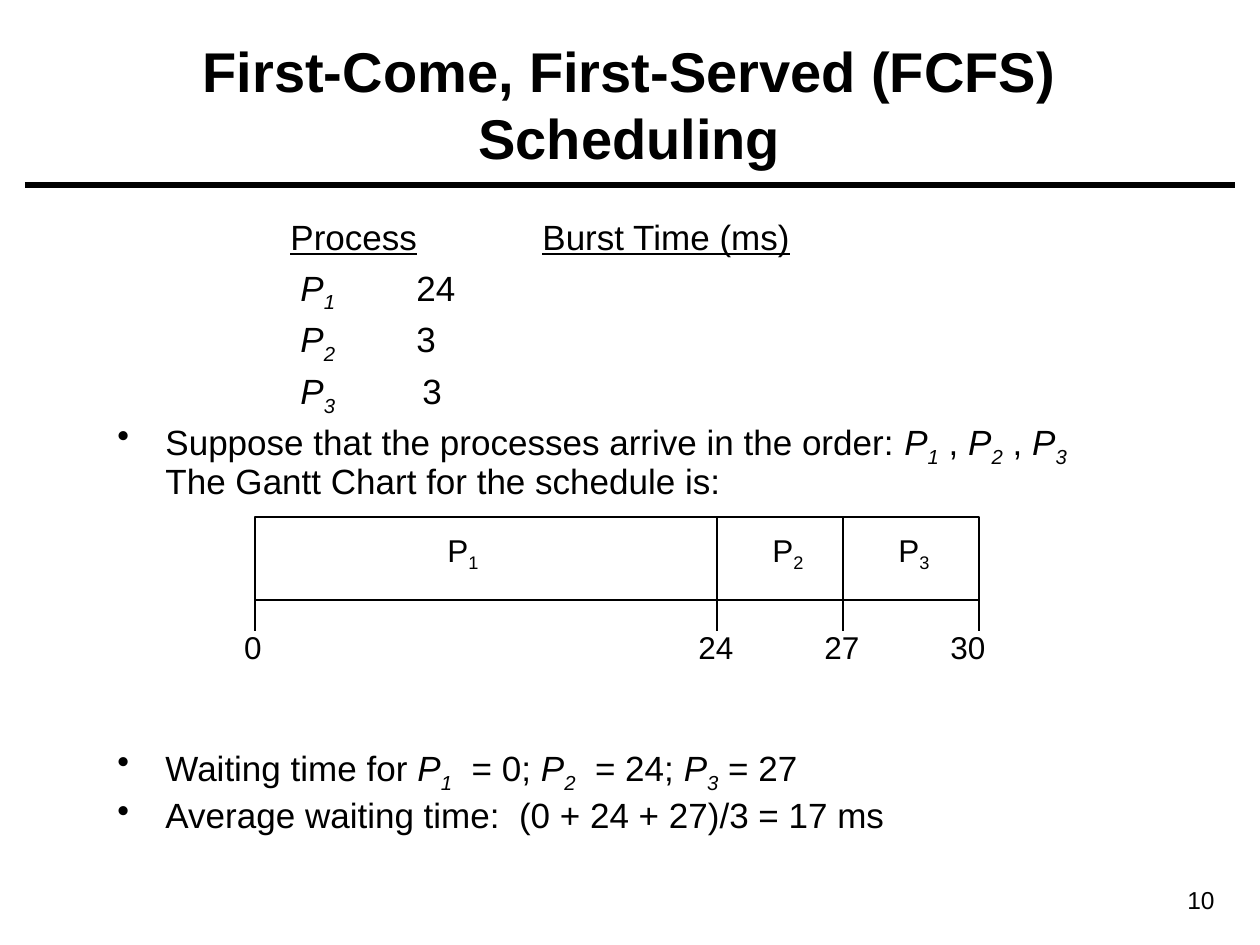
from dataclasses import dataclass

from lxml import etree
from pptx import Presentation
from pptx.dml.color import RGBColor
from pptx.enum.shapes import MSO_CONNECTOR, MSO_SHAPE
from pptx.enum.text import MSO_ANCHOR, PP_ALIGN
from pptx.oxml.ns import qn
from pptx.util import Emu, Pt

EMU_PER_PX = 914400 / 126
BLACK, WHITE = "000000", "FFFFFF"
FONT = "Arial"
LEFT, CENTER, RIGHT = PP_ALIGN.LEFT, PP_ALIGN.CENTER, PP_ALIGN.RIGHT
TOP, MIDDLE = MSO_ANCHOR.TOP, MSO_ANCHOR.MIDDLE
STRAIGHT, RECTANGLE = MSO_CONNECTOR.STRAIGHT, MSO_SHAPE.RECTANGLE
BAR_TOP, BAR_BOTTOM, TICK_END = 517, 600, 631
HANGING_INDENT = 48


@dataclass(frozen=True)
class Span:
    text: str
    italic: bool = False
    underline: bool = False
    bold: bool = False
    subscript: bool = False


@dataclass(frozen=True)
class Line:
    spans: tuple[Span, ...]
    tabs: tuple[int, ...] = ()
    bullet: bool = False
    space_before: float = 0


@dataclass(frozen=True)
class Job:
    number: str
    burst: str
    burst_tab: int
    label_center: int


@dataclass(frozen=True)
class Tick:
    time: str
    x: int
    label_center: int


JOBS = (Job("1", "24", 299, 463), Job("2", "3", 299, 788), Job("3", "3", 305, 914))
TICKS = (Tick("0", 255, 253), Tick("24", 717, 716), Tick("27", 843, 842), Tick("30", 979, 968))


def px(length: int) -> Emu:
    """Turn pixels into EMU."""
    return Emu(round(length * EMU_PER_PX))


def color(value: str) -> RGBColor:
    """Turn a hex string into a colour."""
    return RGBColor.from_string(value)


def process_name(number: str, italic: bool = True) -> tuple[Span, Span]:
    """Return the spans of a process name with its subscript."""
    return Span("P", italic=italic), Span(number, italic=italic, subscript=True)


def add_span(paragraph, span: Span, size: int) -> None:
    """Add one formatted run to a paragraph."""
    run = paragraph.add_run()
    run.text = span.text
    font = run.font
    font.name, font.size = FONT, Pt(size)
    font.bold, font.italic, font.underline = span.bold, span.italic, span.underline
    font.color.rgb = color(BLACK)
    if span.subscript:
        run._r.get_or_add_rPr().set("baseline", "-25000")


def set_bullet(paragraph) -> None:
    """Give a paragraph a black bullet with a hanging indent."""
    properties = paragraph._p.get_or_add_pPr()
    properties.set("marL", str(px(HANGING_INDENT)))
    properties.set("indent", str(-px(HANGING_INDENT)))
    bullet_color = etree.SubElement(properties, qn("a:buClr"))
    etree.SubElement(bullet_color, qn("a:srgbClr"), val=BLACK)
    etree.SubElement(properties, qn("a:buChar"), char="•")


def set_tabs(paragraph, positions: tuple[int, ...]) -> None:
    """Give a paragraph left tab stops."""
    tab_list = etree.SubElement(paragraph._p.get_or_add_pPr(), qn("a:tabLst"))
    for position in positions:
        etree.SubElement(tab_list, qn("a:tab"), pos=str(px(position)), algn="l")


def add_text(slide, box: tuple[int, int, int, int], lines: tuple[Line, ...], size: int,
             align=CENTER, anchor=MIDDLE, wrap: bool = True, spacing: float = 1.0) -> None:
    """Add a text box holding the given lines."""
    frame = slide.shapes.add_textbox(*map(px, box)).text_frame
    frame.word_wrap = wrap
    frame.vertical_anchor = anchor
    for index, line in enumerate(lines):
        paragraph = frame.add_paragraph() if index else frame.paragraphs[0]
        paragraph.alignment = align
        paragraph.line_spacing = spacing
        paragraph.space_before = Pt(line.space_before)
        if line.bullet:
            set_bullet(paragraph)
        if line.tabs:
            set_tabs(paragraph, line.tabs)
        for span in line.spans:
            if span.text == "\n":
                paragraph.add_line_break()
            else:
                add_span(paragraph, span, size)


def add_line(slide, start: tuple[int, int], end: tuple[int, int], width: float) -> None:
    """Add a straight black line."""
    connector = slide.shapes.add_connector(STRAIGHT, *map(px, start + end))
    connector.line.color.rgb = color(BLACK)
    connector.line.width = Pt(width)
    etree.SubElement(connector._element.spPr, qn("a:effectLst"))


def add_body(slide) -> None:
    """Add the process list and the bullets."""
    first, second, third = (process_name(job.number) for job in JOBS)
    heading = Line((Span("\t"), Span("Process", underline=True), Span("\t"),
                    Span("Burst Time (ms)", underline=True)), tabs=(173, 425))
    rows = tuple(
        Line((Span("\t"), *process_name(job.number), Span("\t"), Span(job.burst)),
             tabs=(183, job.burst_tab), space_before=5)
        for job in JOBS
    )
    order = Line((Span("Suppose that the processes arrive in the order: "), *first, Span(" , "),
                  *second, Span(" , "), *third, Span("\n"),
                  Span("The Gantt Chart for the schedule is:")), bullet=True, space_before=4.5)
    waiting = Line((Span("Waiting time for "), *first, Span("  = 0; "), *second,
                    Span("  = 24; "), *third, Span(" = 27")), bullet=True, space_before=140)
    average = Line((Span("Average waiting time:  (0 + 24 + 27)/3 = 17 ms"),),
                   bullet=True, space_before=5)
    add_text(slide, (105, 214, 1042, 567), (heading, *rows, order, waiting, average), 20,
             align=LEFT, anchor=TOP, spacing=0.9)


def add_gantt_chart(slide) -> None:
    """Add the schedule bar with its process names and times."""
    left, right = TICKS[0].x, TICKS[-1].x
    bar = slide.shapes.add_shape(
        RECTANGLE, px(left), px(BAR_TOP), px(right - left), px(BAR_BOTTOM - BAR_TOP))
    bar.shadow.inherit = False
    bar.fill.solid()
    bar.fill.fore_color.rgb = color(WHITE)
    bar.line.color.rgb = color(BLACK)
    bar.line.width = Pt(0.75)
    for job in JOBS:
        add_text(slide, (job.label_center - 28, 524, 56, 56),
                 (Line(process_name(job.number, italic=False)),), 18, wrap=False)
    for tick in TICKS:
        add_line(slide, (tick.x, BAR_BOTTOM), (tick.x, TICK_END), 0.75)
        add_text(slide, (tick.label_center - 30, 621, 60, 51),
                 (Line((Span(tick.time),)),), 18, wrap=False)
    for tick in TICKS[1:-1]:
        add_line(slide, (tick.x, BAR_TOP), (tick.x, BAR_BOTTOM), 0.75)


def main() -> None:
    """Build and save the slide."""
    presentation = Presentation()
    presentation.slide_width, presentation.slide_height = px(1260), px(945)
    slide = presentation.slides.add_slide(presentation.slide_layouts[6])
    add_line(slide, (25, 185), (1235, 185), 3)
    add_text(slide, (1096, 879, 131, 43), (Line((Span("10"),)),), 14, align=RIGHT, anchor=TOP)
    title = Span("First-Come, First-Served (FCFS) Scheduling", bold=True)
    add_text(slide, (44, 25, 1171, 157), (Line((title,)),), 32)
    add_body(slide)
    add_gantt_chart(slide)
    presentation.save("out.pptx")


if __name__ == "__main__":
    main()
